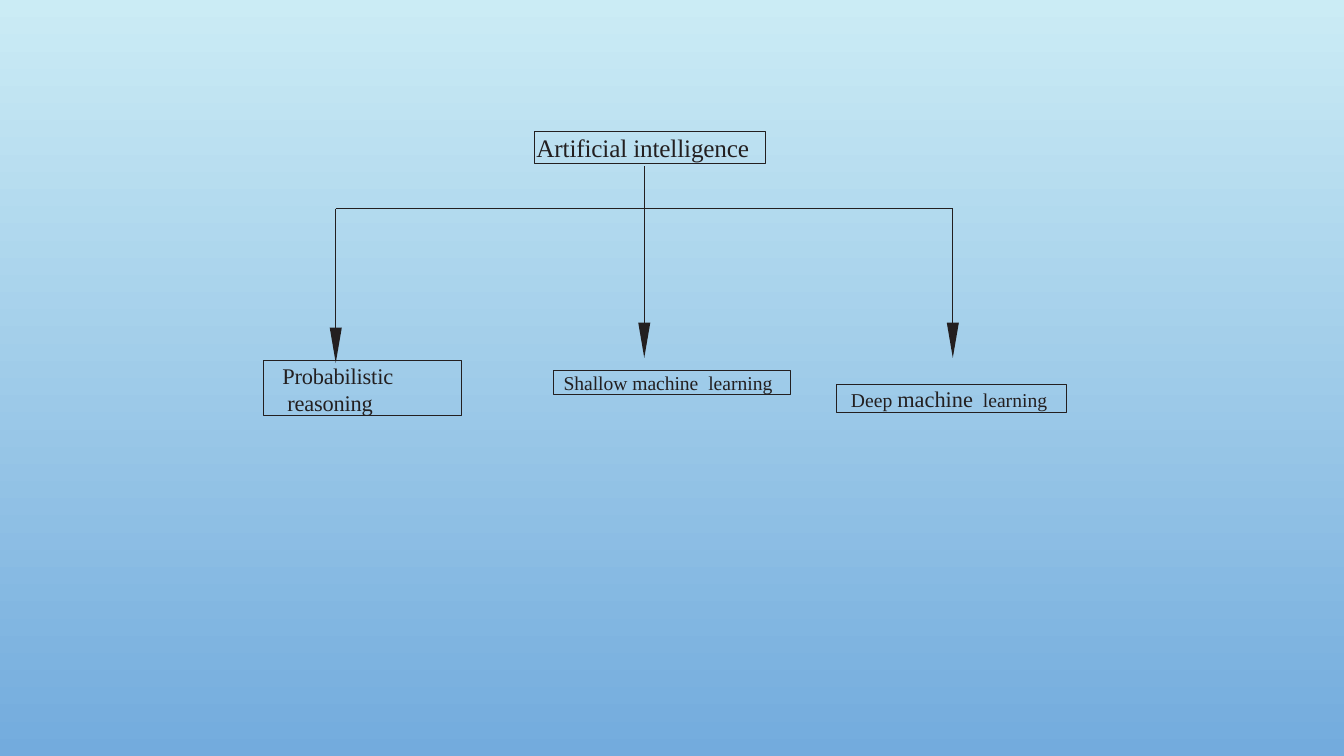
from pptx import Presentation
from pptx.dml.color import RGBColor
from pptx.enum.dml import MSO_THEME_COLOR
from pptx.enum.text import MSO_ANCHOR
from pptx.oxml.ns import qn
from pptx.util import Inches, Pt
from lxml.etree import SubElement

# Content: box (left, top, width, height), left margin, first-line indent,
# space before, then runs (text, size, letter spacing in points)
ROOT = ((5.3, 1.3, 2.29, 0.32), 0.02, 0, 1.2,
        [("Artificial intelligence", 18, -0.1)])
KINDS = [
    ((2.61, 3.58, 1.97, 0.54), 0.24, -0.05, 0.5,
     [("Probabilistic\vreasoning", 16, -0.1)]),
    ((5.49, 3.67, 2.35, 0.24), 0.28, -0.18, 0.7,
     [("Shallow machine", 14, -0.05), (" ", 14, 3.5), ("learning", 14, 0)]),
    ((8.29, 3.81, 2.29, 0.28), 0.27, -0.12, 0.7,
     [("Deep ", 14, 0), ("machine", 16, 0), (" ", 14, 3.5),
      ("learning", 14, 0)]),
]
COLORS = {"ink": "231F20", "top": "CBECF5", "base": "73ABDD"}
FONT = "Times New Roman"

# Tree: stem at mid, branches at equal steps, arrow tips
MID, STEP = 6.39, 3.06
STEM, BAR = 1.65, 2.07
TIPS = [3.6, 3.55, 3.55]
HEAD, HALF, LAP = 0.35, 0.06, 0.06


def color(name):
    return RGBColor.from_string(COLORS[name])


def add_box(box, left, first, gap, runs):
    shape = slide.shapes.add_textbox(*map(Inches, box))
    shape.line.color.rgb = color("ink")
    shape.line.width = Pt(0.5)
    frame = shape.text_frame
    frame.word_wrap = True
    frame.vertical_anchor = MSO_ANCHOR.TOP
    frame.margin_left = frame.margin_right = frame.margin_bottom = 0
    frame.margin_top = Inches(0.01)
    para = frame.paragraphs[0]
    para.space_before = Pt(gap)
    props = para._p.get_or_add_pPr()
    props.set("marL", str(Inches(left)))
    props.set("indent", str(Inches(first)))
    for text, size, space in runs:
        for i, part in enumerate(text.split("\v")):
            if i:
                para.add_line_break()
            run = para.add_run()
            run.text = part
            run.font.name, run.font.size = FONT, Pt(size)
            run.font.color.rgb = color("ink")
            run._r.get_or_add_rPr().set("spc", str(round(space * 100)))


def add_line(x1, y1, x2, y2):
    line = slide.shapes.add_connector(1, *map(Inches, (x1, y1, x2, y2)))
    line.line.color.rgb = color("ink")
    line.line.width = Pt(0.5)
    SubElement(line._element.spPr, qn("a:effectLst"))


def add_head(x, tip):
    top = tip - HEAD
    path = slide.shapes.build_freeform(Inches(x + HALF), Inches(top), 1.0)
    path.add_line_segments([(Inches(x - HALF), Inches(top)),
                            (Inches(x), Inches(tip))], close=True)
    head = path.convert_to_shape()
    head.shadow.inherit = False
    head.fill.solid()
    head.fill.fore_color.rgb = color("ink")
    head.line.fill.background()


deck = Presentation()
deck.slide_width, deck.slide_height = Inches(13.33), Inches(7.5)
slide = deck.slides.add_slide(deck.slide_layouts[6])

# Background, light at the top
fill = slide.background.fill
fill.gradient()
fill.gradient_angle = 270
for stop, name in zip(fill.gradient_stops, ("top", "base")):
    stop.color.rgb = color(name)

# Branches
xs = [MID + STEP * k for k in (-1, 0, 1)]
add_line(xs[0], BAR, xs[-1], BAR)
for x, tip in zip(xs, TIPS):
    add_line(x, STEM if x == MID else BAR, x, tip - HEAD + LAP)
    add_head(x, tip)

# Boxes
for node in [ROOT, *KINDS]:
    add_box(*node)

deck.save("out.pptx")
